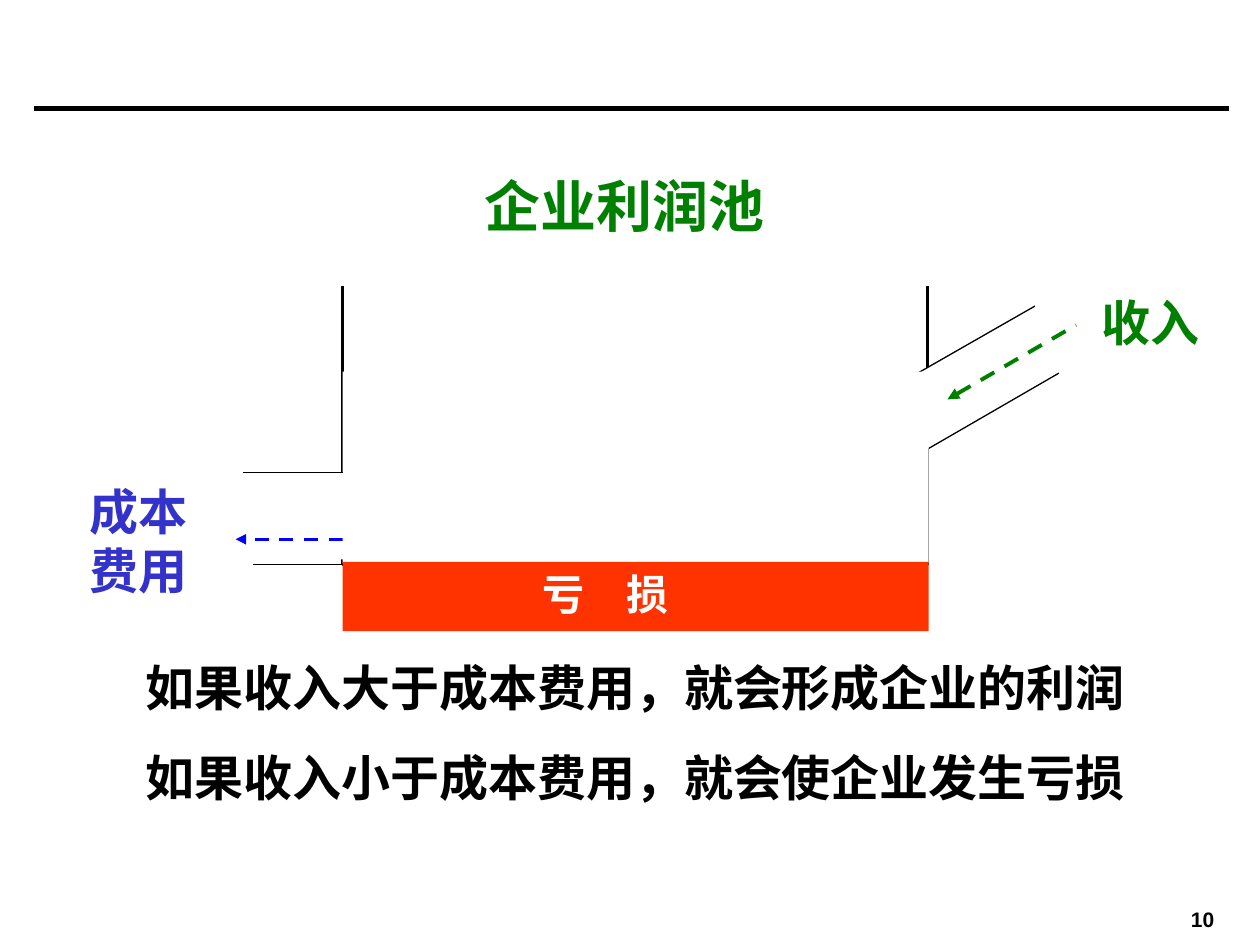
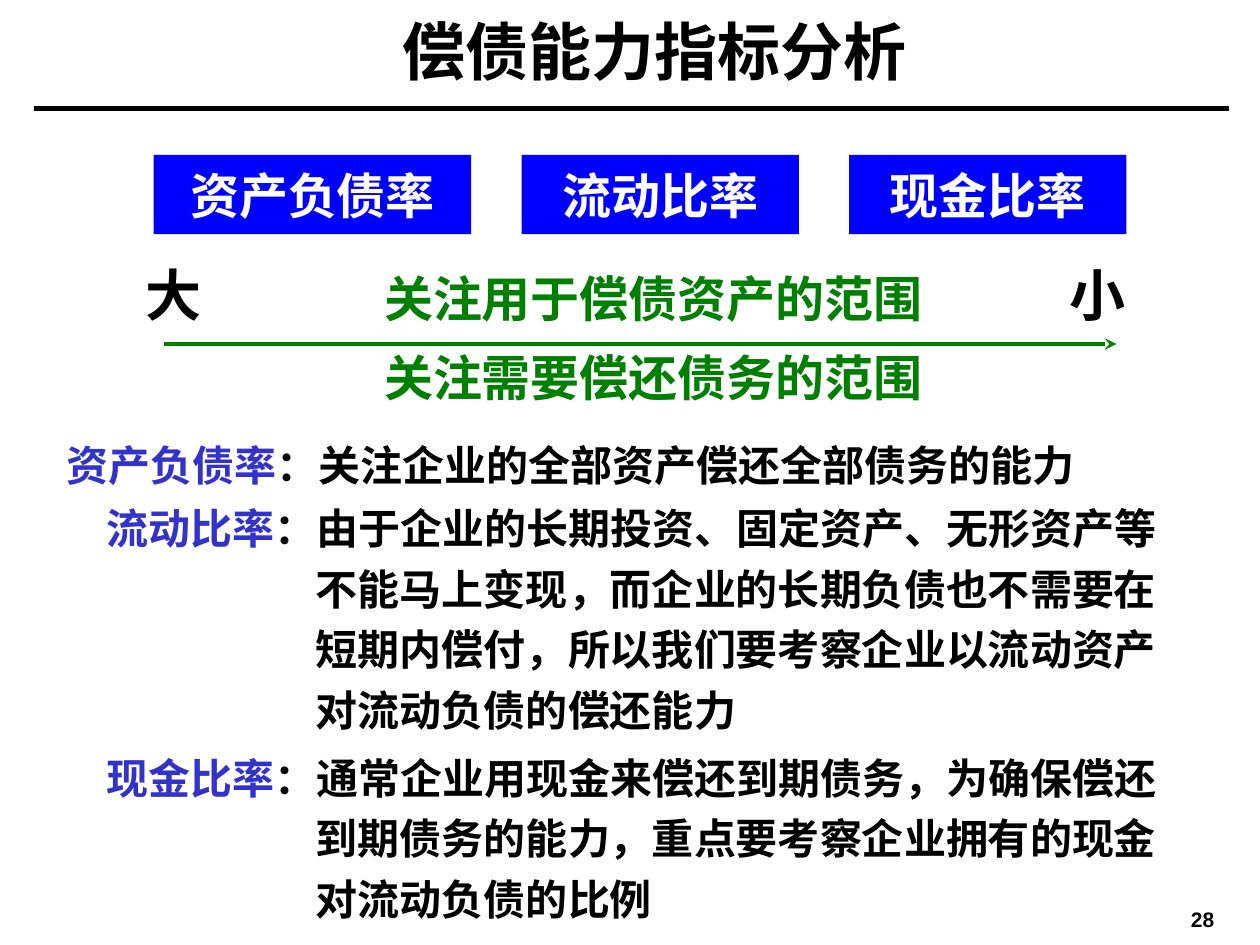
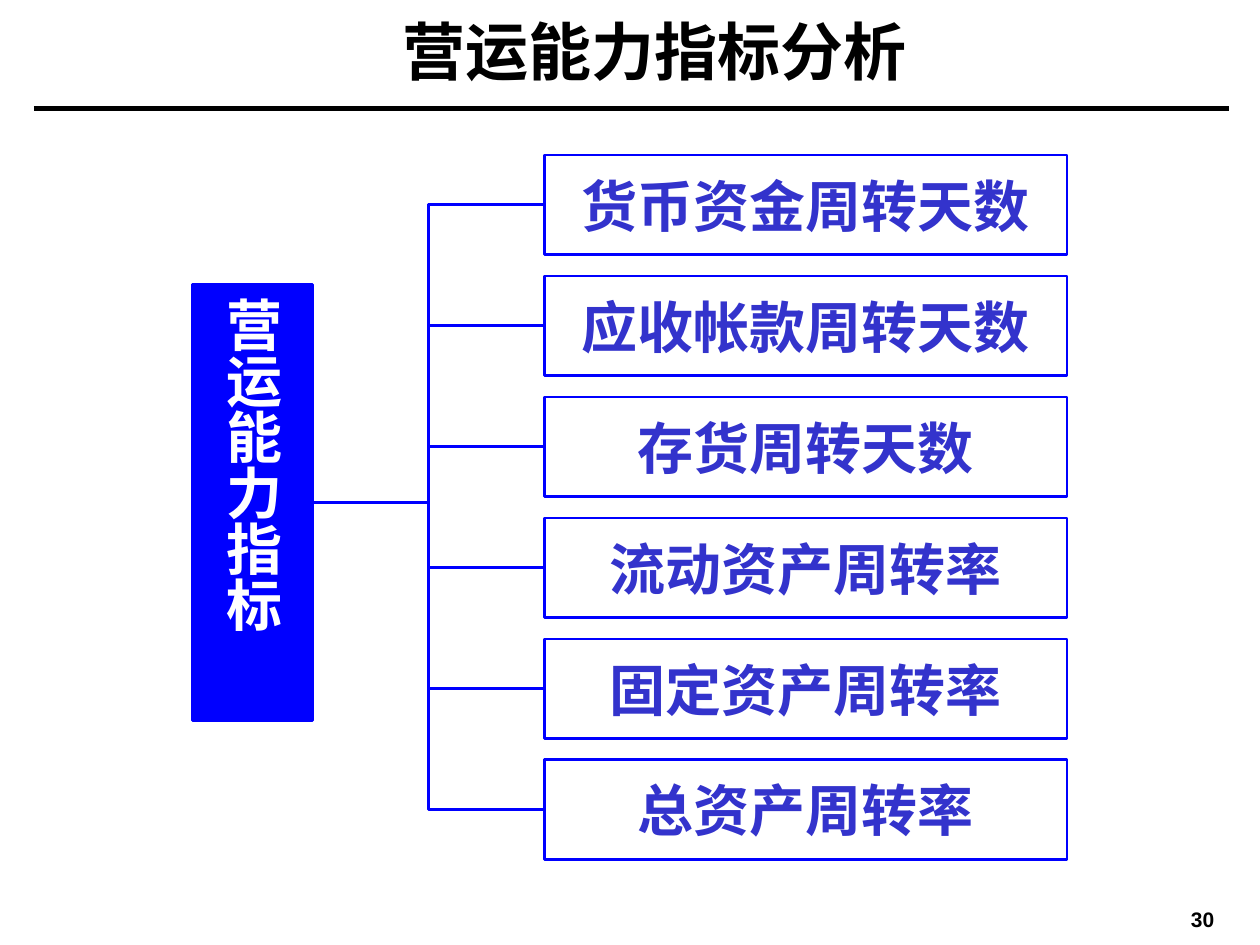
from dataclasses import dataclass
from typing import Optional

from lxml.etree import SubElement
from pptx import Presentation
from pptx.dml.color import RGBColor
from pptx.enum.dml import MSO_LINE
from pptx.enum.shapes import MSO_CONNECTOR, MSO_SHAPE
from pptx.enum.text import MSO_ANCHOR, MSO_AUTO_SIZE, PP_ALIGN
from pptx.oxml.ns import qn
from pptx.util import Emu, Pt

SCALE = 9144


@dataclass(frozen=True)
class Theme:
    """Colours, fonts and type sizes of the deck."""

    black: str = "000000"
    white: str = "FFFFFF"
    green: str = "008000"
    blue: str = "0000FF"
    ink: str = "3333CC"
    red: str = "FF3300"
    face: str = "Times New Roman"
    plain: str = "Arial"
    title: int = 36
    large: int = 32
    label: int = 28
    body: int = 24
    small: int = 12


THEME = Theme()


@dataclass(frozen=True)
class Box:
    """A place on the slide, in px."""

    left: int
    top: int
    width: int
    height: int


@dataclass(frozen=True)
class Type:
    """The look of a piece of text."""

    size: int
    color: str
    align: PP_ALIGN = PP_ALIGN.LEFT
    face: str = THEME.face


@dataclass(frozen=True)
class Label:
    """A text box."""

    box: Box
    lines: tuple[str, ...]
    look: Type


@dataclass(frozen=True)
class Line:
    """A straight line, with optional dashes and arrowheads."""

    start: tuple[int, int]
    end: tuple[int, int]
    color: str = THEME.black
    weight: float = 0.75
    dash: bool = False
    head: Optional[str] = None
    tail: Optional[str] = None


@dataclass(frozen=True)
class Note:
    """A term and its meaning, set with a hanging indent."""

    box: Box
    hang: int
    term: str
    text: str


def px(size: float) -> Emu:
    """Turn px into EMU."""
    return Emu(round(size * SCALE))


def place(box: Box) -> tuple[Emu, Emu, Emu, Emu]:
    """Give the box in EMU."""
    return px(box.left), px(box.top), px(box.width), px(box.height)


def rgb(color: str) -> RGBColor:
    """Read a hex colour."""
    return RGBColor.from_string(color)


def style(para, look: Type) -> None:
    """Set the type of a paragraph."""
    para.alignment = look.align
    font = para.font
    font.name, font.size, font.bold = look.face, Pt(look.size), True
    font.color.rgb = rgb(look.color)


def write(frame, lines: tuple[str, ...], look: Type) -> None:
    """Fill a text frame with lines of one look."""
    for count, line in enumerate(lines):
        para = frame.add_paragraph() if count else frame.paragraphs[0]
        para.text = line
        if count:
            para.space_before = Pt(look.size * 0.625)
        style(para, look)


def paint(shape, fill: Optional[str], edge: Optional[str] = None,
          weight: float = 1.5) -> None:
    """Set fill and outline, and drop the shadow."""
    shape.shadow.inherit = False
    if fill:
        shape.fill.solid()
        shape.fill.fore_color.rgb = rgb(fill)
    else:
        shape.fill.background()
    if edge:
        shape.line.color.rgb = rgb(edge)
        shape.line.width = Pt(weight)
    else:
        shape.line.fill.background()


def add_block(slide, box: Box, fill: Optional[str], edge: Optional[str] = None,
              text: str = "", look: Optional[Type] = None):
    """Draw a rectangle, with text if there is any."""
    shape = slide.shapes.add_shape(MSO_SHAPE.RECTANGLE, *place(box))
    paint(shape, fill, edge)
    if look:
        frame = shape.text_frame
        frame.word_wrap = False
        frame.vertical_anchor = MSO_ANCHOR.MIDDLE
        write(frame, (text,), look)
    return shape


def add_label(slide, label: Label):
    """Draw a text box."""
    frame = slide.shapes.add_textbox(*place(label.box)).text_frame
    frame.word_wrap = True
    write(frame, label.lines, label.look)
    return frame


def ink_line(link, color: str, weight: float) -> None:
    """Set the colour and weight of a connector."""
    link.line.color.rgb = rgb(color)
    link.line.width = Pt(weight)
    SubElement(link.element.spPr, qn("a:effectLst"))


def add_line(slide, line: Line) -> None:
    """Draw a straight line."""
    link = slide.shapes.add_connector(
        MSO_CONNECTOR.STRAIGHT, *(px(n) for n in line.start + line.end))
    ink_line(link, line.color, line.weight)
    if line.dash:
        link.line.dash_style = MSO_LINE.DASH
    for tag, kind in (("a:headEnd", line.head), ("a:tailEnd", line.tail)):
        if kind:
            SubElement(link.line._get_or_add_ln(), qn(tag), type=kind)


def add_path(slide, points: tuple[tuple[int, int], ...],
             fill: Optional[str], weight: float) -> None:
    """Draw an open outline through the points."""
    pen = slide.shapes.build_freeform(*points[0], scale=SCALE)
    pen.add_line_segments(points[1:], close=False)
    paint(pen.convert_to_shape(), fill, THEME.black, weight)


def add_note(slide, note: Note) -> None:
    """Draw a term in colour and its meaning after it."""
    frame = slide.shapes.add_textbox(*place(note.box)).text_frame
    frame.word_wrap = True
    para = frame.paragraphs[0]
    props = para._p.get_or_add_pPr()
    props.set("marL", str(px(note.hang)))
    props.set("indent", str(-px(note.hang)))
    para.line_spacing = 1.2
    term = para.add_run()
    term.text = note.term
    para.add_run().text = "：" + note.text
    style(para, Type(THEME.body, THEME.black))
    term.font.color.rgb = rgb(THEME.ink)


def start(deck, title: str, number: int, box: Box = Box(185, 5, 669, 70),
          size: int = THEME.title, color: str = THEME.black):
    """Add a slide with its title, rule and page number."""
    slide = deck.slides.add_slide(deck.slide_layouts[5])
    head = slide.shapes.title
    head.left, head.top, head.width, head.height = place(box)
    frame = head.text_frame
    frame.word_wrap = True
    frame.auto_size = MSO_AUTO_SIZE.NONE
    frame.vertical_anchor = MSO_ANCHOR.TOP
    write(frame, (title,), Type(size, color, PP_ALIGN.CENTER))
    add_line(slide, Line((27, 86), (975, 86), weight=3))
    look = Type(THEME.small, THEME.black, PP_ALIGN.CENTER, THEME.plain)
    page = add_label(slide, Label(Box(921, 721, 67, 17), (str(number),), look))
    page.margin_top = page.margin_bottom = 0
    page.vertical_anchor = MSO_ANCHOR.MIDDLE
    return slide


def pool_slide(deck) -> None:
    """Show income and cost as pipes of a profit pool."""
    slide = start(deck, "企业利润池", 10, Box(374, 131, 244, 64),
                  THEME.large, THEME.green)
    mid = PP_ALIGN.CENTER
    add_path(slide, ((272, 227), (272, 448), (736, 448), (736, 227)), None, 2)
    add_path(slide, ((657, 337), (823, 242), (851, 290), (673, 393)),
             THEME.white, 0.75)
    add_block(slide, Box(831, 210, 55, 110), THEME.white).rotation = 340.4
    add_line(slide, Line((752, 317), (854, 258), THEME.green, 2.25, True,
                         head="triangle"))
    add_line(slide, Line((201, 448), (335, 448)))
    add_block(slide, Box(193, 375, 84, 69), THEME.white)
    add_line(slide, Line((272, 428), (187, 428), THEME.blue, 2, True,
                         tail="triangle"))
    add_block(slide, Box(272, 295, 465, 152), THEME.white)
    add_line(slide, Line((272, 375), (193, 375)))
    add_block(slide, Box(272, 446, 465, 55), THEME.red)
    labels = (
        Label(Box(854, 227, 118, 57), ("收入",),
              Type(THEME.label, THEME.green, mid)),
        Label(Box(51, 377, 118, 104), ("成本费用",),
              Type(THEME.label, THEME.ink, mid)),
        Label(Box(421, 446, 126, 50), ("亏　损",),
              Type(THEME.body, THEME.white)),
        Label(Box(106, 517, 843, 128),
              ("如果收入大于成本费用，就会形成企业的利润",
               "如果收入小于成本费用，就会使企业发生亏损"),
              Type(THEME.label, THEME.black)),
    )
    for label in labels:
        add_label(slide, label)


def debt_slide(deck) -> None:
    """Rank three debt ratios by scope and explain them."""
    slide = start(deck, "偿债能力指标分析", 28)
    look = Type(THEME.label, THEME.white, PP_ALIGN.CENTER)
    left, gap = 122, 40
    for name, width in (("资产负债率", 252), ("流动比率", 220), ("现金比率", 220)):
        add_block(slide, Box(left, 123, width, 63), THEME.blue,
                  text=name, look=look)
        left += width + gap
    add_line(slide, Line((130, 273), (886, 273), THEME.green, 2.25,
                         tail="stealth"))
    for left, text in ((106, "大"), (839, "小")):
        add_label(slide, Label(Box(left, 202, 55, 64), (text,),
                               Type(THEME.large, THEME.black)))
    for top, text in ((208, "关注用于偿债资产的范围"), (271, "关注需要偿还债务的范围")):
        add_label(slide, Label(Box(295, top, 449, 57), (text,),
                               Type(THEME.label, THEME.green)))
    notes = (
        Note(Box(43, 336, 866, 58), 195, "资产负债率",
             "关注企业的全部资产偿还全部债务的能力"),
        Note(Box(75, 386, 866, 202), 166, "流动比率",
             "由于企业的长期投资、固定资产、无形资产等不能马上变现，"
             "而企业的长期负债也不需要在短期内偿付，"
             "所以我们要考察企业以流动资产对流动负债的偿还能力"),
        Note(Box(75, 584, 866, 154), 166, "现金比率",
             "通常企业用现金来偿还到期债务，为确保偿还到期债务的能力，"
             "重点要考察企业拥有的现金对流动负债的比例"),
    )
    for note in notes:
        add_note(slide, note)


def turn_slide(deck) -> None:
    """Show the tree of turnover measures."""
    slide = start(deck, "营运能力指标分析", 30)
    mid = PP_ALIGN.CENTER
    root = add_block(slide, Box(153, 226, 95, 346), THEME.blue, THEME.blue,
                     "营运能力指标", Type(THEME.large, THEME.white, mid))
    frame = root.text_frame
    frame.word_wrap = True
    frame.margin_left = frame.margin_right = px(5)
    frame.margin_top = frame.margin_bottom = px(10)
    root.element.txBody.bodyPr.set("vert", "eaVert")
    names = ("货币资金周转天数", "应收帐款周转天数", "存货周转天数",
             "流动资产周转率", "固定资产周转率", "总资产周转率")
    for row, name in enumerate(names):
        leaf = add_block(slide, Box(432, 123 + 96 * row, 415, 79), None,
                         THEME.blue, name, Type(THEME.large, THEME.ink, mid))
        link = slide.shapes.add_connector(MSO_CONNECTOR.ELBOW, 0, 0, 0, 0)
        link.begin_connect(root, 3)
        link.end_connect(leaf, 1)
        ink_line(link, THEME.blue, 1.5)


def main() -> None:
    """Build and save the deck."""
    deck = Presentation()
    deck.slide_width, deck.slide_height = px(1000), px(750)
    for build in (pool_slide, debt_slide, turn_slide):
        build(deck)
    deck.save("out.pptx")


if __name__ == "__main__":
    main()
